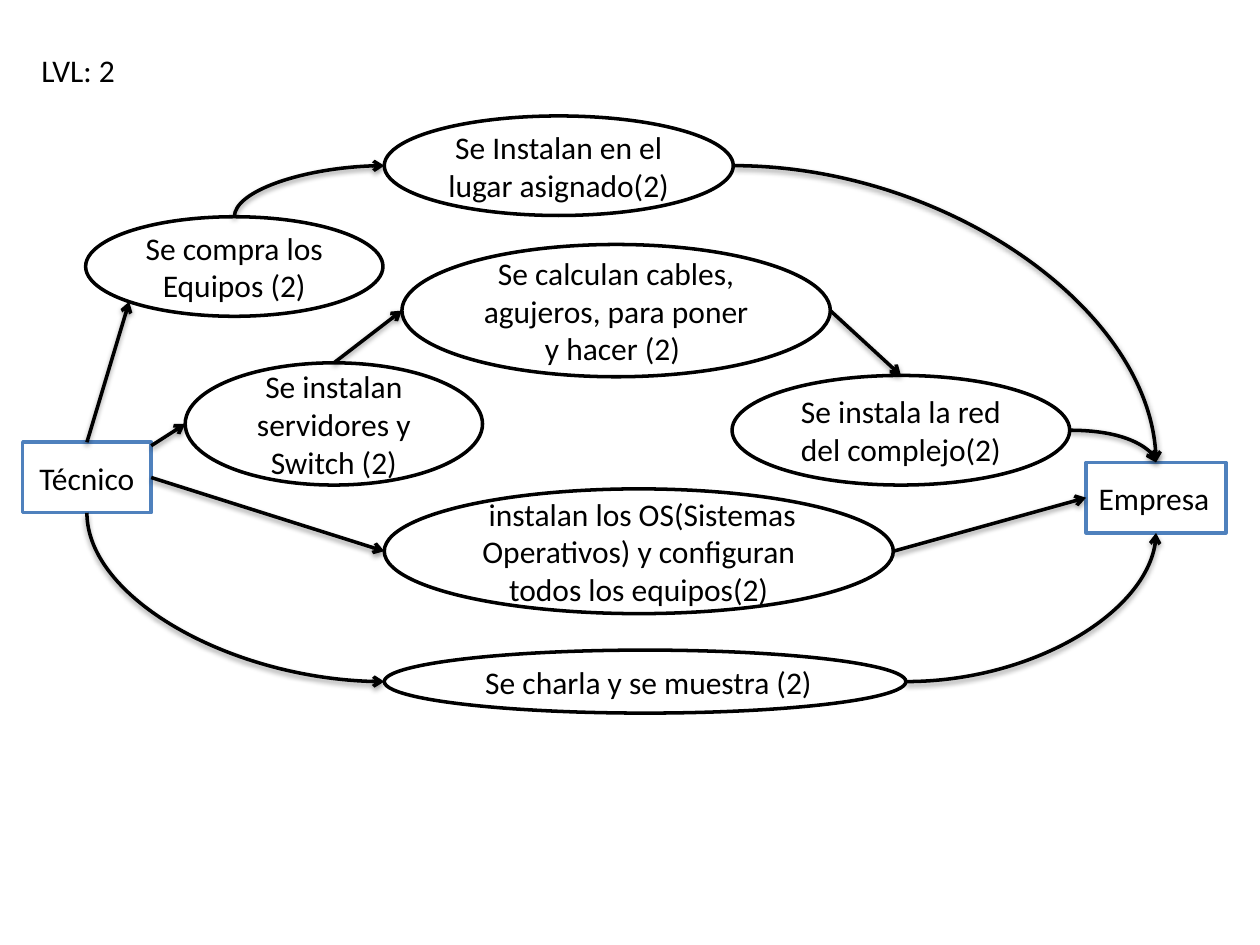
from math import sqrt

from lxml.etree import SubElement
from pptx import Presentation
from pptx.dml.color import RGBColor
from pptx.enum.shapes import MSO_CONNECTOR, MSO_SHAPE
from pptx.enum.text import MSO_ANCHOR, MSO_AUTO_SIZE, PP_ALIGN
from pptx.oxml.ns import qn
from pptx.util import Inches, Pt

DIAGONAL = (1 - sqrt(0.5)) / 2
SITES = {
    "top": (0.5, 0), "left": (0, 0.5), "bottom": (0.5, 1), "right": (1, 0.5),
    "lower left": (DIAGONAL, 1 - DIAGONAL), "upper right": (1, 0.05),
}


def color(value):
    """Turn a hex string into a colour."""
    return RGBColor.from_string(value)


def site(shape, name):
    """Return the point of a named connection site on a shape."""
    across, down = SITES[name]
    return (int(shape.left + across * shape.width),
            int(shape.top + down * shape.height))


class Diagram:
    """Style of the diagram and the slide it is drawn on."""

    black, white, blue = "000000", "FFFFFF", "4F81BD"
    font = {"name": "Calibri", "size": Pt(18)}
    line_width = Pt(2)

    def __init__(self, slide):
        """Keep the slide to draw on."""
        self.slide = slide

    def add_text(self, frame, text, align):
        """Put one styled paragraph in a text frame."""
        paragraph = frame.paragraphs[0]
        paragraph.alignment = align
        run = paragraph.add_run()
        run.text = text
        for name, value in self.font.items():
            setattr(run.font, name, value)
        run.font.color.rgb = color(self.black)

    def node(self, kind, text, box, outline, align=PP_ALIGN.CENTER):
        """Draw an outlined shape with text."""
        shape = self.slide.shapes.add_shape(kind, *map(Inches, box))
        shape.shadow.inherit = False
        shape.fill.solid()
        shape.fill.fore_color.rgb = color(self.white)
        shape.line.color.rgb = color(outline)
        shape.line.width = self.line_width
        shape.text_frame.vertical_anchor = MSO_ANCHOR.MIDDLE
        self.add_text(shape.text_frame, text, align)
        return shape

    def entity(self, text, box, align=PP_ALIGN.CENTER):
        """Draw an external entity as a rectangle."""
        return self.node(MSO_SHAPE.RECTANGLE, text, box, self.blue, align)

    def process(self, text, box):
        """Draw a process as an ellipse."""
        return self.node(MSO_SHAPE.OVAL, text, box, self.black)

    def label(self, text, box):
        """Place free text on one line."""
        frame = self.slide.shapes.add_textbox(*map(Inches, box)).text_frame
        frame.word_wrap = False
        frame.auto_size = MSO_AUTO_SIZE.SHAPE_TO_FIT_TEXT
        self.add_text(frame, text, PP_ALIGN.LEFT)

    def finish(self, connector):
        """Give a connector its line, arrowhead and soft shadow."""
        connector.line.color.rgb = color(self.black)
        connector.line.width = self.line_width
        properties = connector.element.spPr
        SubElement(properties.find(qn("a:ln")), qn("a:tailEnd"), type="arrow")
        effects = SubElement(properties, qn("a:effectLst"))
        shadow = SubElement(effects, qn("a:outerShdw"), blurRad=str(Pt(3.1)),
                            dist=str(Pt(1.6)), dir="5400000", rotWithShape="0")
        tint = SubElement(shadow, qn("a:srgbClr"), val=self.black)
        SubElement(tint, qn("a:alpha"), val="38000")

    def arrow(self, source, start, target, end):
        """Draw a straight arrow between two sites."""
        self.finish(self.slide.shapes.add_connector(
            MSO_CONNECTOR.STRAIGHT, *site(source, start), *site(target, end)))

    def curve(self, source, start, target, end):
        """Draw a quarter-turn arrow to the right, up or down."""
        x1, y1 = site(source, start)
        x2, y2 = site(target, end)
        points, rotation = (x1, y1, x2, y2), 0
        if start in ("top", "bottom"):
            # A curve that leaves vertically is a turned horizontal one.
            middle_x, middle_y = (x1 + x2) // 2, (y1 + y2) // 2
            half_w, half_h = abs(y2 - y1) // 2, (x2 - x1) // 2
            turn = 1 if start == "top" else -1
            points = (middle_x + half_w, middle_y + turn * half_h,
                      middle_x - half_w, middle_y - turn * half_h)
            rotation = 90 if start == "top" else 270
        connector = self.slide.shapes.add_connector(MSO_CONNECTOR.CURVE, *points)
        connector.element.spPr.find(qn("a:prstGeom")).set("prst", "curvedConnector2")
        if rotation:
            connector.element.spPr.find(qn("a:xfrm")).set("rot", str(rotation * 60000))
        self.finish(connector)


presentation = Presentation()
presentation.slide_width, presentation.slide_height = Inches(10), Inches(7.5)
diagram = Diagram(presentation.slides.add_slide(presentation.slide_layouts[6]))

company = diagram.entity("Empresa", (8.62, 3.67, 1.11, 0.56), PP_ALIGN.LEFT)
technician = diagram.entity("Técnico", (0.18, 3.51, 1.02, 0.56))
diagram.label("LVL: 2", (0.23, 0.36, 0.8, 0.4))

purchase = diagram.process("Se compra los Equipos (2)", (0.68, 1.72, 2.36, 0.79))
placement = diagram.process("Se Instalan en el lugar asignado(2)",
                            (3.05, 0.92, 2.77, 0.79))
servers = diagram.process("Se instalan servidores y Switch (2)",
                          (1.47, 2.88, 2.36, 0.97))
cabling = diagram.process("Se calculan cables, agujeros, para poner y hacer (2) ",
                          (3.19, 1.94, 3.4, 1.05))
network = diagram.process("Se instala la red del complejo(2)",
                          (5.81, 2.98, 2.68, 0.87))
systems = diagram.process(
    " instalan los OS(Sistemas Operativos) y configuran todos los equipos(2)",
    (3.05, 3.88, 4.04, 0.99))
briefing = diagram.process(" Se charla y se muestra (2)", (3.05, 5.16, 4.14, 0.5))

for flow in (
    (purchase, "top", placement, "left"),
    (placement, "right", company, "top"),
    (network, "right", company, "top"),
    (briefing, "right", company, "bottom"),
    (technician, "bottom", briefing, "left"),
):
    diagram.curve(*flow)

for flow in (
    (technician, "top", purchase, "lower left"),
    (technician, "upper right", servers, "left"),
    (servers, "top", cabling, "left"),
    (cabling, "right", network, "top"),
    (technician, "right", systems, "left"),
    (systems, "right", company, "left"),
):
    diagram.arrow(*flow)

presentation.save("out.pptx")
